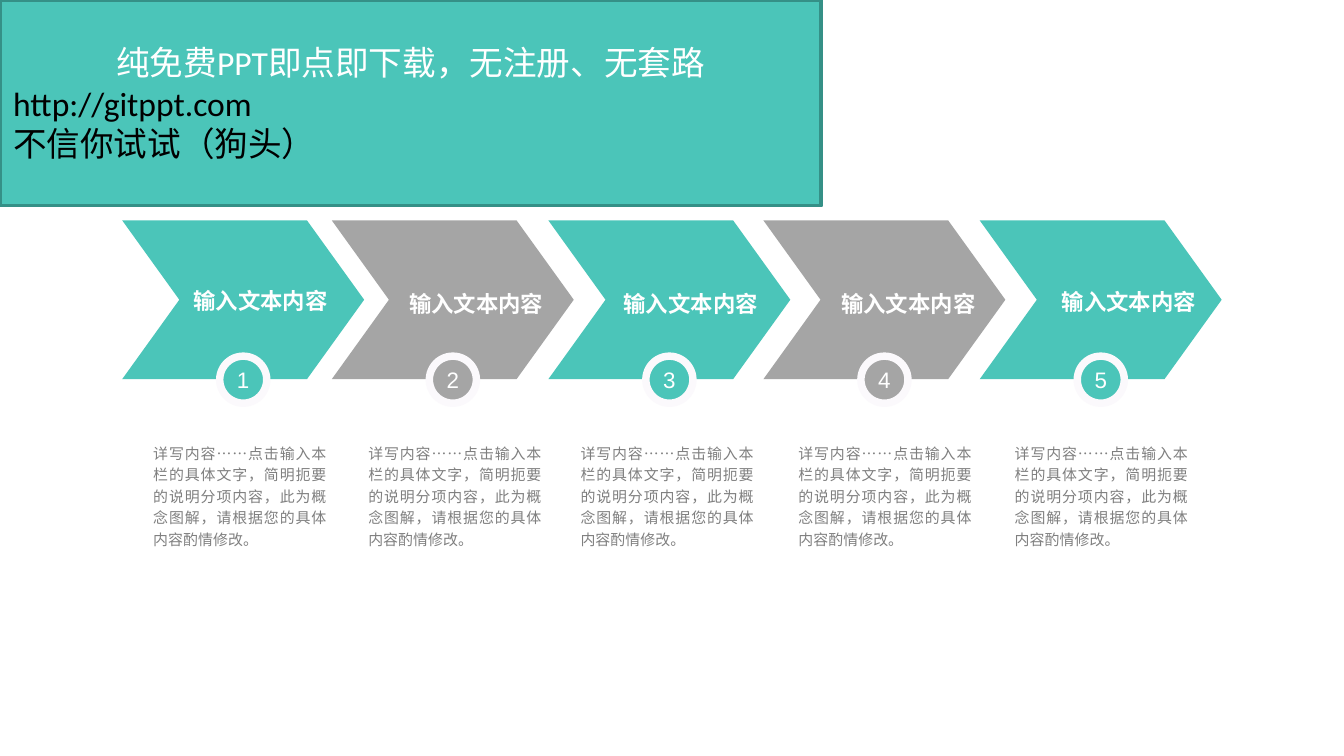
import dataclasses

import pptx
import pptx.dml.color
import pptx.enum.shapes
import pptx.enum.text
import pptx.oxml
import pptx.oxml.ns
import pptx.util

Pt = pptx.util.Pt
SHAPE = pptx.enum.shapes.MSO_SHAPE
ALIGN = pptx.enum.text.PP_ALIGN
ANCHOR = pptx.enum.text.MSO_ANCHOR


@dataclasses.dataclass(frozen=True)
class Theme:
    teal: str = "4BC5B9"
    teal_dark: str = "359087"
    grey: str = "A5A5A5"
    ring: str = "FBF9FC"
    white: str = "FFFFFF"
    black: str = "000000"
    body: str = "7F7F7F"
    cjk: str = "Noto Sans CJK SC"
    banner_font: str = "Calibri"
    number_font: str = "Arial"
    banner_size: int = 18
    label_size: int = 12
    body_size: int = 8


THEME = Theme()

LABEL = "输入文本内容"
DETAIL = "详写内容……点击输入本栏的具体文字，简明扼要的说明分项内容，此为概念图解，请根据您的具体内容酌情修改。"
BANNER = [
    ("纯免费PPT即点即下载，无注册、无套路", ALIGN.CENTER, THEME.white),
    ("http://gitppt.com", ALIGN.LEFT, THEME.black),
    ("不信你试试（狗头）", ALIGN.LEFT, THEME.black),
]

# Per step: arrow left, label centre x, label centre y, detail left
STEPS = [
    (65.5, 139.7, 161.3, 82.1),
    (177.8, 255.2, 162.7, 197.3),
    (293.8, 370.1, 162.7, 311),
    (409, 486.7, 162.7, 427.7),
    (524.9, 604.8, 161.6, 543.6),
]
ARROW_TOP, ARROW_WIDTH, ARROW_HEIGHT, ARROW_POINT = 118.1, 129.6, 85, 30.6
BADGE_TOP, BADGE_SIZE = 190.8, 25.2
LABEL_WIDTH, LABEL_HEIGHT = 86, 14.4
DETAIL_TOP, DETAIL_WIDTH, DETAIL_HEIGHT = 236.2, 92.9, 57.6


def rgb(value):
    return pptx.dml.color.RGBColor.from_string(value)


def format_paragraph(paragraph, align, font_name, size, color, bold=False):
    paragraph.alignment = align
    font = paragraph.font
    font.name, font.size, font.bold = font_name, Pt(size), bold
    font.color.rgb = rgb(color)
    # East Asian typeface follows the Latin one
    defaults = paragraph._p.pPr.find(pptx.oxml.ns.qn("a:defRPr"))
    defaults.append(pptx.oxml.parse_xml(
        f'<a:ea {pptx.oxml.ns.nsdecls("a")} typeface="{THEME.cjk}"/>'))


def set_frame(frame, anchor, inset_x=0, inset_y=0):
    frame.word_wrap = True
    frame.vertical_anchor = anchor
    frame.margin_left = frame.margin_right = Pt(inset_x)
    frame.margin_top = frame.margin_bottom = Pt(inset_y)


def add_block(slide, kind, left, top, width, height, fill, line=None, line_width=0):
    block = slide.shapes.add_shape(kind, Pt(left), Pt(top), Pt(width), Pt(height))
    block.shadow.inherit = False
    block.fill.solid()
    block.fill.fore_color.rgb = rgb(fill)
    if line:
        block.line.color.rgb = rgb(line)
        block.line.width = Pt(line_width)
    else:
        block.line.fill.background()
    return block


def add_text(slide, left, top, width, height, text, anchor):
    box = slide.shapes.add_textbox(Pt(left), Pt(top), Pt(width), Pt(height))
    set_frame(box.text_frame, anchor)
    paragraph = box.text_frame.paragraphs[0]
    paragraph.text = text
    return paragraph


def add_step(slide, number, arrow_left, label_x, label_y, detail_left):
    color = THEME.teal if number % 2 else THEME.grey

    # Arrow with its label
    arrow = add_block(slide, SHAPE.CHEVRON, arrow_left, ARROW_TOP,
                      ARROW_WIDTH, ARROW_HEIGHT, color)
    arrow.adjustments[0] = ARROW_POINT / ARROW_HEIGHT
    label = add_text(slide, label_x - LABEL_WIDTH / 2, label_y - LABEL_HEIGHT / 2,
                     LABEL_WIDTH, LABEL_HEIGHT, LABEL, ANCHOR.MIDDLE)
    format_paragraph(label, ALIGN.CENTER, THEME.cjk, THEME.label_size,
                     THEME.white, bold=True)

    # Numbered badge, centred under the arrow
    badge = add_block(slide, SHAPE.OVAL, arrow_left + (ARROW_WIDTH - BADGE_SIZE) / 2,
                      BADGE_TOP, BADGE_SIZE, BADGE_SIZE, color, THEME.ring, 4)
    set_frame(badge.text_frame, ANCHOR.MIDDLE)
    digit = badge.text_frame.paragraphs[0]
    digit.text = str(number)
    format_paragraph(digit, ALIGN.CENTER, THEME.number_font, THEME.label_size, THEME.white)

    # Detail text
    detail = add_text(slide, detail_left, DETAIL_TOP, DETAIL_WIDTH, DETAIL_HEIGHT,
                      DETAIL, ANCHOR.TOP)
    detail.line_spacing = 1.2
    format_paragraph(detail, ALIGN.JUSTIFY, THEME.cjk, THEME.body_size, THEME.body)


def add_banner(slide):
    banner = add_block(slide, SHAPE.RECTANGLE, 0, 0, 440, 110.2,
                       THEME.teal, THEME.teal_dark, 2)
    frame = banner.text_frame
    set_frame(frame, ANCHOR.MIDDLE, 7.2, 3.6)
    for index, (text, align, color) in enumerate(BANNER):
        paragraph = frame.add_paragraph() if index else frame.paragraphs[0]
        paragraph.text = text
        format_paragraph(paragraph, align, THEME.banner_font, THEME.banner_size, color)


def main():
    deck = pptx.Presentation()
    deck.slide_width, deck.slide_height = Pt(720), Pt(405)
    slide = deck.slides.add_slide(deck.slide_layouts.get_by_name("Blank"))
    for number, step in enumerate(STEPS, start=1):
        add_step(slide, number, *step)
    add_banner(slide)
    deck.save("out.pptx")


if __name__ == "__main__":
    main()
